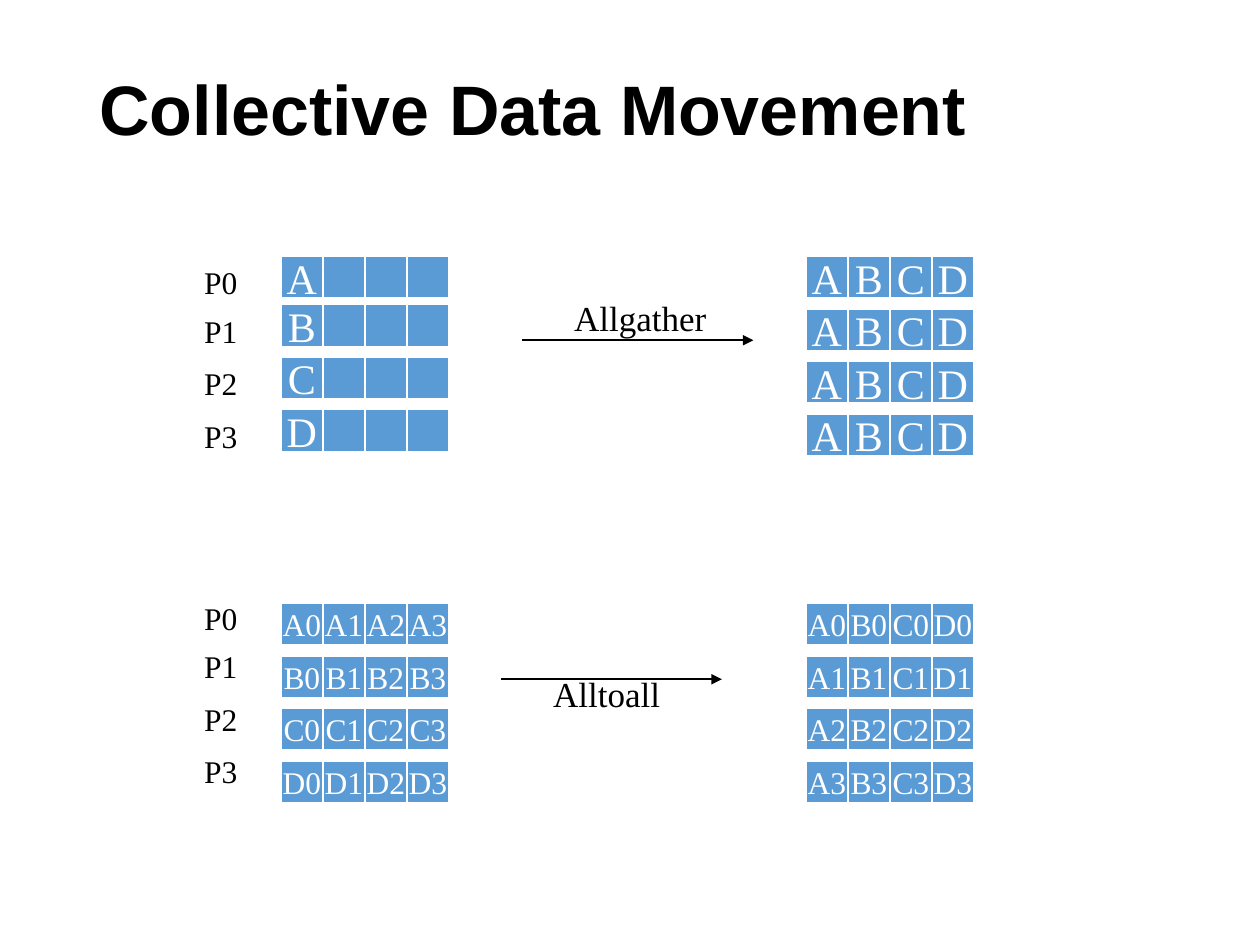
from pptx import Presentation
from pptx import util as u
from pptx.dml.color import RGBColor
from pptx.enum import shapes, text
from pptx.oxml.ns import qn
from lxml import etree

# The slide is a grid of 120 columns by 90 rows
prs = Presentation()
prs.slide_width, prs.slide_height = u.Inches(10), u.Inches(7.5)
UNIT = prs.slide_width / 120
CELL, PITCH = 4, 5
SERIF = "Times New Roman"
EVEN = [i * PITCH for i in range(4)]
STAGGERED = [0, 4.6, 9.6, 14.6]


def grid(*lengths):
    return [round(n * UNIT) for n in lengths]


def color(value):
    return RGBColor.from_string(value)


def write(sp, words, size, fill="000000", name=SERIF, bold=False,
          align=text.PP_ALIGN.LEFT, anchor=text.MSO_ANCHOR.TOP, wrap=False):
    tf = sp.text_frame
    tf.word_wrap, tf.vertical_anchor = wrap, anchor
    p = tf.paragraphs[0]
    p.text, p.alignment = words, align
    p.font.size, p.font.name, p.font.bold = u.Pt(size), name, bold
    p.font.color.rgb = color(fill)
    return p


def add_title(s, box, words):
    sp = s.shapes.add_textbox(*grid(*box))
    p = write(sp, words, 40, name="Arial", bold=True,
              anchor=text.MSO_ANCHOR.MIDDLE, wrap=True)
    p.line_spacing = 0.9


def add_label(s, box, words, size):
    sp = s.shapes.add_textbox(*grid(*box))
    write(sp, words, size)


def add_matrix(s, left, top, rows, offsets, size):
    for row, dy in zip(rows, offsets):
        for col, words in enumerate(row):
            sp = s.shapes.add_shape(
                shapes.MSO_SHAPE.RECTANGLE,
                *grid(left + col * CELL, top + dy, CELL, CELL))
            sp.shadow.inherit = False
            sp.fill.solid()
            sp.fill.fore_color.rgb = color("5B9BD5")
            sp.line.color.rgb = color("FFFFFF")
            sp.line.width = u.Pt(1)
            if words:
                write(sp, words, size, "FFFFFF", align=text.PP_ALIGN.CENTER,
                      anchor=text.MSO_ANCHOR.MIDDLE)


def add_arrow(s, left, top, length):
    line = s.shapes.add_connector(shapes.MSO_CONNECTOR.STRAIGHT,
                                  *grid(left, top, left + length, top))
    line.line.color.rgb = color("000000")
    line.line.width = u.Pt(1)
    ln = line.line._get_or_add_ln()
    etree.SubElement(ln, qn("a:tailEnd"), type="triangle")
    etree.SubElement(line._element.spPr, qn("a:effectLst"))


def add_operation(s, left, top, before, after, size, offsets, labels_dy,
                  arrow, caption):
    # Process labels
    for i, dy in enumerate(STAGGERED):
        add_label(s, (left, top + labels_dy + dy, 5.6, 4.8), f"P{i}", 18)

    # Data before and after
    add_matrix(s, left + 8.5, top, before, offsets, size)
    add_matrix(s, left + 58.5, top, after, EVEN, size)

    # Arrow and its caption
    dx, dy, length = arrow
    add_arrow(s, left + dx, top + dy, length)
    words, caption_dy, width = caption
    add_label(s, (left + dx + 3.75, top + caption_dy, width, 5.2), words, 20)


def main():
    s = prs.slides.add_slide(prs.slide_layouts[6])
    add_title(s, (8.3, 2, 103.4, 17.4), "Collective Data Movement")

    # Allgather: every process ends with all the items
    add_operation(s, 18.25, 24.4,
                  before=[[c, "", "", ""] for c in "ABCD"],
                  after=["ABCD"] * 4,
                  size=24, offsets=STAGGERED, labels_dy=0.1,
                  arrow=(31.5, 8, 22), caption=("Allgather", 3.2, 15))

    # Alltoall: the matrix of items is transposed
    items = [[f"{c}{i}" for i in range(4)] for c in "ABCD"]
    add_operation(s, 18.25, 57.45,
                  before=items, after=list(zip(*items)),
                  size=18, offsets=EVEN, labels_dy=-1,
                  arrow=(29.5, 7.25, 21), caption=("Alltoall", 6.05, 12.6))

    prs.save("out.pptx")


if __name__ == "__main__":
    main()
